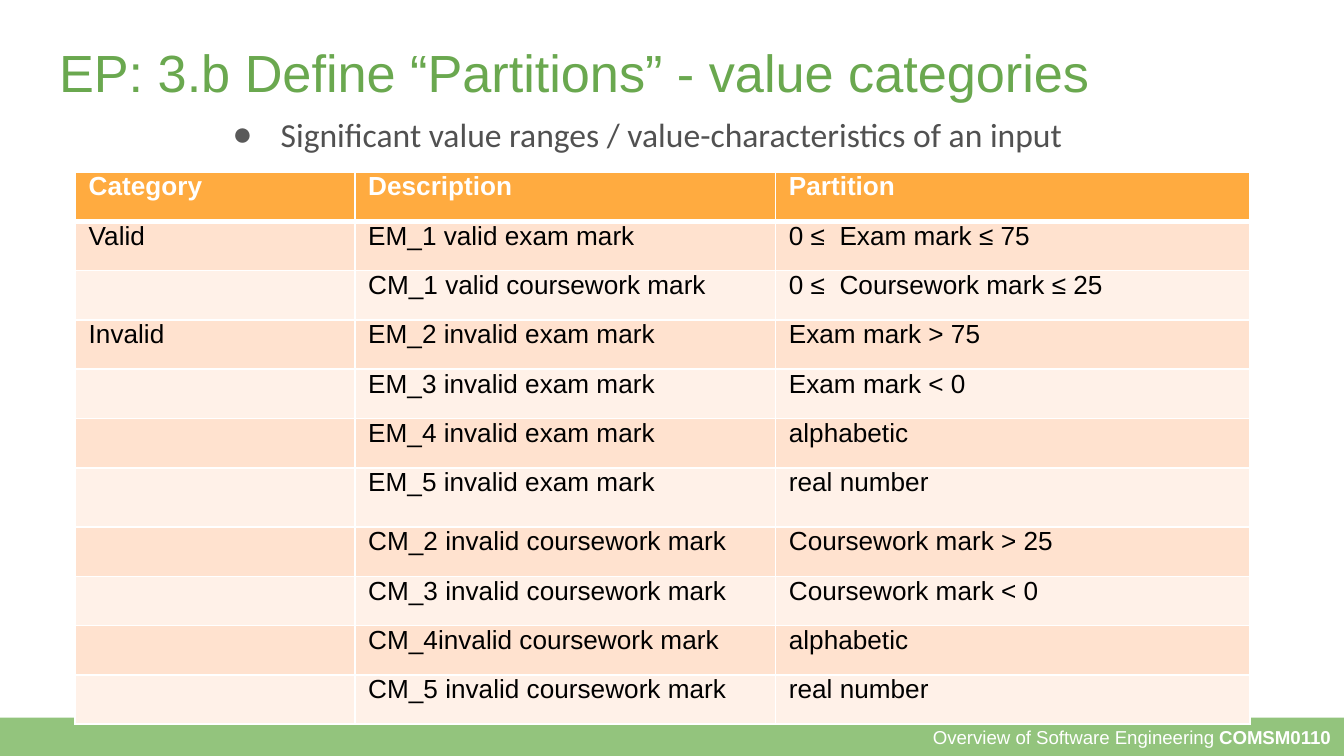
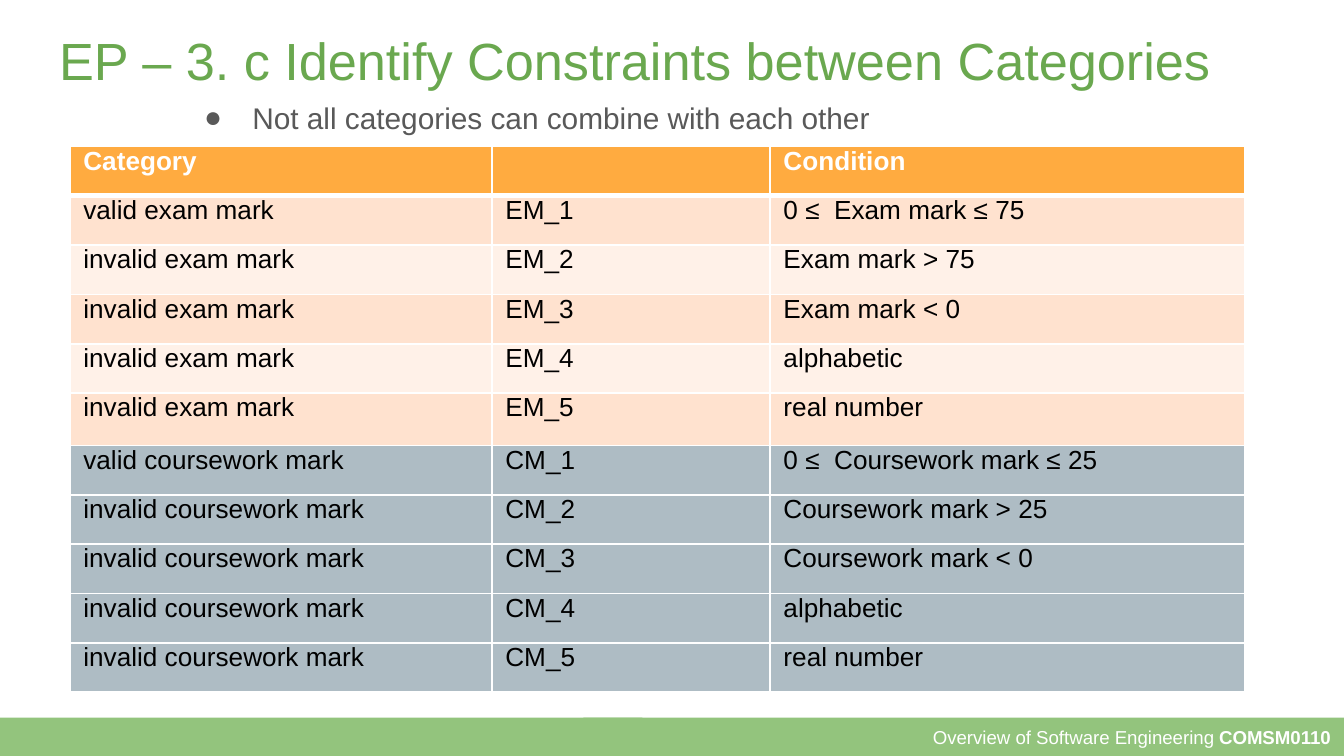
from dataclasses import dataclass
from typing import Any

from lxml.etree import SubElement
from pptx import Presentation
from pptx.dml.color import RGBColor
from pptx.enum.shapes import MSO_AUTO_SHAPE_TYPE as ShapeKind
from pptx.enum.text import MSO_ANCHOR as Anchor
from pptx.enum.text import MSO_AUTO_SIZE as AutoSize
from pptx.enum.text import PP_ALIGN as Align
from pptx.oxml import parse_xml
from pptx.oxml.ns import nsdecls, qn
from pptx.util import Inches, Pt

SLIDE_WIDTH = 10
SLIDE_HEIGHT = SLIDE_WIDTH * 9 / 16
BAND_TOP = 5.34
BAND_HEIGHT = SLIDE_HEIGHT - BAND_TOP


@dataclass(frozen=True)
class Theme:
    font: str = "Arial"
    title_color: str = "6AA84F"
    band_color: str = "93C47D"
    bullet_color: str = "595959"
    white: str = "FFFFFF"
    black: str = "000000"
    header_fill: str = "FFAB40"
    dark_stripe: str = "FFE2CF"
    light_stripe: str = "FFF1E8"
    coursework_fill: str = "AEBCC4"
    title_size: int = 28
    table_size: int = 14
    footer_size: int = 10
    grid_width: int = 1
    header_rule_width: int = 3


THEME = Theme()
STRIPES = (THEME.dark_stripe, THEME.light_stripe)


@dataclass(frozen=True)
class Box:
    left: float
    top: float
    width: float
    height: float

    def lengths(self) -> tuple:
        return tuple(Inches(n) for n in (self.left, self.top, self.width, self.height))


@dataclass(frozen=True)
class Bullet:
    text: str
    box: Box
    size: int
    font: str
    color: str
    space_after: int = 0


@dataclass(frozen=True)
class MarkTable:
    box: Box
    column_widths: tuple[float, ...]
    tall_row: int
    tall_height: float
    rows: tuple[tuple[str, ...], ...]
    body_fills: tuple[str, ...]


@dataclass(frozen=True)
class TableSlide:
    title: str
    title_box: Box
    bullet: Bullet
    table: MarkTable


SLIDES = (
    TableSlide(
        title="EP: 3.b Define “Partitions” - value categories",
        title_box=Box(0.34, 0.2, 9.32, 0.63),
        bullet=Bullet(
            "Significant value ranges / value-characteristics of an input",
            Box(1.49, 0.7, 7.95, 0.57), 18, "Calibri", "515151",
        ),
        table=MarkTable(
            box=Box(0.56, 1.28, 8.74, 4.11),
            column_widths=(2.08, 3.13, 3.53),
            tall_row=6,
            tall_height=0.44,
            rows=(
                ("Category", "Description", "Partition"),
                ("Valid", "EM_1 valid exam mark", "0 ≤  Exam mark ≤ 75"),
                ("", "CM_1 valid coursework mark", "0 ≤  Coursework mark ≤ 25"),
                ("Invalid", "EM_2 invalid exam mark", "Exam mark > 75"),
                ("", "EM_3 invalid exam mark", "Exam mark < 0"),
                ("", "EM_4 invalid exam mark", "alphabetic"),
                ("", "EM_5 invalid exam mark", "real number"),
                ("", "CM_2 invalid coursework mark", "Coursework mark > 25"),
                ("", "CM_3 invalid coursework mark", "Coursework mark < 0"),
                ("", "CM_4invalid coursework mark", "alphabetic"),
                ("", "CM_5 invalid coursework mark", "real number"),
            ),
            body_fills=STRIPES * 5,
        ),
    ),
    TableSlide(
        title="EP – 3. c Identify Constraints between Categories",
        title_box=Box(0.34, 0.11, 9.32, 0.63),
        bullet=Bullet(
            "Not all categories can combine with each other",
            Box(1.28, 0.6, 6.7, 0.63), 16, THEME.font, THEME.bullet_color, 6,
        ),
        table=MarkTable(
            box=Box(0.52, 1.09, 8.74, 4.06),
            column_widths=(3.14, 2.07, 3.53),
            tall_row=5,
            tall_height=0.39,
            rows=(
                ("Category", "", "Condition"),
                ("valid exam mark", "EM_1", "0 ≤  Exam mark ≤ 75"),
                ("invalid exam mark", "EM_2", "Exam mark > 75"),
                ("invalid exam mark", "EM_3", "Exam mark < 0"),
                ("invalid exam mark", "EM_4", "alphabetic"),
                ("invalid exam mark", "EM_5", "real number"),
                ("valid coursework mark", "CM_1", "0 ≤  Coursework mark ≤ 25"),
                ("invalid coursework mark", "CM_2", "Coursework mark > 25"),
                ("invalid coursework mark", "CM_3", "Coursework mark < 0"),
                ("invalid coursework mark", "CM_4", "alphabetic"),
                ("invalid coursework mark", "CM_5", "real number"),
            ),
            body_fills=(STRIPES * 3)[:5] + (THEME.coursework_fill,) * 5,
        ),
    ),
)


def set_attributes(target: Any, values: dict[str, Any]) -> None:
    for name, value in values.items():
        setattr(target, name, value)


def add_run(paragraph: Any, text: str, size: int, color: str,
            bold: bool = False, font: str = THEME.font) -> None:
    run = paragraph.add_run()
    run.text = text
    set_attributes(run.font, {"name": font, "size": Pt(size), "bold": bold})
    run.font.color.rgb = RGBColor.from_string(color)


def format_frame(frame: Any, anchor: Anchor = Anchor.TOP) -> None:
    margins = {f"margin_{side}": Inches(0.1) for side in ("left", "top", "right", "bottom")}
    set_attributes(frame, {
        "word_wrap": True, "auto_size": AutoSize.NONE, "vertical_anchor": anchor, **margins,
    })


def add_band(slide: Any, left: float, width: float) -> Any:
    box = Box(left, BAND_TOP, width, BAND_HEIGHT)
    band = slide.shapes.add_shape(ShapeKind.RECTANGLE, *box.lengths())
    band.shadow.inherit = False
    band.fill.solid()
    band.fill.fore_color.rgb = RGBColor.from_string(THEME.band_color)
    band.line.fill.background()
    return band


def add_footer(slide: Any) -> None:
    band = add_band(slide, 4.34, 5.66)
    format_frame(band.text_frame, Anchor.MIDDLE)
    paragraph = band.text_frame.paragraphs[0]
    paragraph.alignment = Align.RIGHT
    add_run(paragraph, "Overview of Software Engineering ", THEME.footer_size, THEME.white)
    add_run(paragraph, "COMSM0110", THEME.footer_size, THEME.white, bold=True)
    add_band(slide, 0, 4.78)


def place_title(slide: Any, text: str, box: Box) -> None:
    title = slide.shapes.title
    set_attributes(title, dict(zip(("left", "top", "width", "height"), box.lengths())))
    format_frame(title.text_frame)
    paragraph = title.text_frame.paragraphs[0]
    paragraph.alignment = Align.LEFT
    add_run(paragraph, text, THEME.title_size, THEME.title_color)


def add_bullet(slide: Any, bullet: Bullet) -> None:
    frame = slide.shapes.add_textbox(*bullet.box.lengths()).text_frame
    format_frame(frame)
    paragraph = frame.paragraphs[0]
    set_attributes(paragraph, {"line_spacing": 1.15, "space_after": Pt(bullet.space_after)})
    add_run(paragraph, bullet.text, bullet.size, bullet.color, font=bullet.font)
    properties = paragraph._p.get_or_add_pPr()
    properties.set("marL", str(Inches(0.5)))
    properties.set("indent", str(Inches(-0.36)))
    bullet_color = SubElement(properties, qn("a:buClr"))
    SubElement(bullet_color, qn("a:srgbClr"), val=THEME.bullet_color)
    SubElement(properties, qn("a:buFont"), typeface=THEME.font)
    SubElement(properties, qn("a:buChar"), char="●")


def set_borders(cell: Any, top: int, bottom: int) -> None:
    widths = {"L": THEME.grid_width, "R": THEME.grid_width, "T": top, "B": bottom}
    properties = cell._tc.get_or_add_tcPr()
    for index, (side, width) in enumerate(widths.items()):
        properties.insert(index, parse_xml(
            f'<a:ln{side} {nsdecls("a")} w="{Pt(width)}"><a:solidFill>'
            f'<a:srgbClr val="{THEME.white}"/></a:solidFill></a:ln{side}>'
        ))


def format_cell(cell: Any, text: str, row_index: int, fill: str) -> None:
    is_header = row_index == 0
    set_attributes(cell, {
        "margin_left": Inches(0.1), "margin_right": Inches(0.1),
        "margin_top": Inches(0), "margin_bottom": Inches(0),
    })
    cell.fill.solid()
    cell.fill.fore_color.rgb = RGBColor.from_string(fill)
    set_borders(
        cell,
        top=THEME.header_rule_width if row_index == 1 else THEME.grid_width,
        bottom=THEME.header_rule_width if is_header else THEME.grid_width,
    )
    if text:
        color = THEME.white if is_header else THEME.black
        add_run(cell.text_frame.paragraphs[0], text, THEME.table_size, color, bold=is_header)


def add_mark_table(slide: Any, design: MarkTable) -> None:
    row_count = len(design.rows)
    table = slide.shapes.add_table(
        row_count, len(design.column_widths), *design.box.lengths()
    ).table
    set_attributes(table, {"first_row": False, "horz_banding": False})
    for column, width in zip(table.columns, design.column_widths):
        column.width = Inches(width)
    row_height = (design.box.height - design.tall_height) / (row_count - 1)
    fills = (THEME.header_fill, *design.body_fills)
    for row_index, (texts, fill) in enumerate(zip(design.rows, fills)):
        row = table.rows[row_index]
        row.height = Inches(design.tall_height if row_index == design.tall_row else row_height)
        for cell, text in zip(row.cells, texts):
            format_cell(cell, text, row_index, fill)


def main() -> None:
    presentation = Presentation()
    set_attributes(presentation, {
        "slide_width": Inches(SLIDE_WIDTH), "slide_height": Inches(SLIDE_HEIGHT),
    })
    title_only = presentation.slide_layouts.get_by_name("Title Only")
    for content in SLIDES:
        slide = presentation.slides.add_slide(title_only)
        add_footer(slide)
        place_title(slide, content.title, content.title_box)
        add_mark_table(slide, content.table)
        add_bullet(slide, content.bullet)
    presentation.save("out.pptx")


if __name__ == "__main__":
    main()
